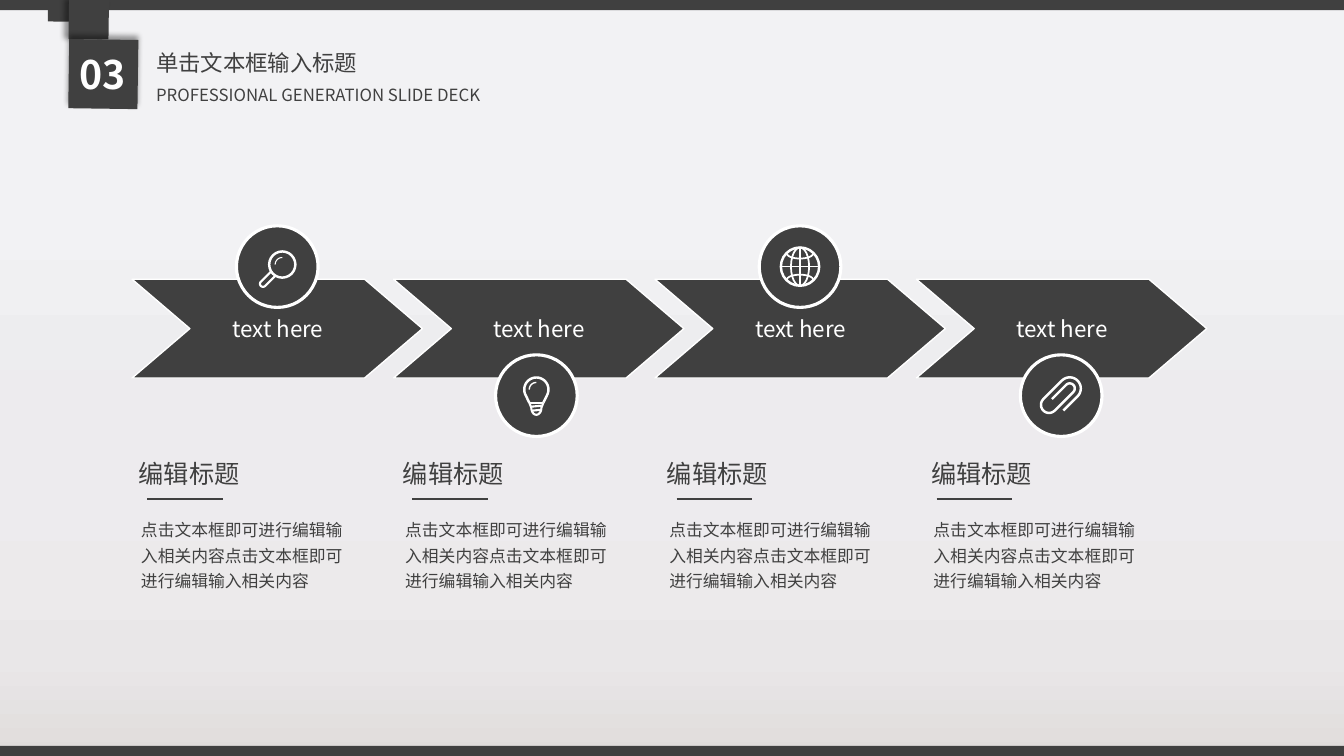
"""Builds a four-step arrow slide with icon badges and captions."""
import math

from lxml import etree
from pptx import Presentation
from pptx import util as u
from pptx.dml.color import RGBColor
from pptx.enum import shapes, text
from pptx.oxml.ns import qn

DARK = RGBColor(0x40, 0x40, 0x40)
WHITE = RGBColor(0xFF, 0xFF, 0xFF)
FONT = "Noto Sans CJK SC"
STOPS = [(0, "E0DCDB"), (13, "E9E7E8"), (23, "ECEAEB"),
         (34, "EDEBEE"), (51, "EDEDEF"), (73, "F2F2F4")]
KIND = shapes.MSO_SHAPE
LEFT = text.PP_ALIGN.LEFT
MID = text.PP_ALIGN.CENTER
BODY = "点击文本框即可进行编辑输入相关内容点击文本框即可进行编辑输入相关内容"
HUBS = [(2.75, 2.645), (5.32, 3.925), (7.935, 2.645), (10.525, 3.925)]
RULES = [1.46, 4.09, 6.71, 9.29]


def paint(slide):
    fill = slide.background.fill
    fill.gradient()
    fill.gradient_angle = 90
    stops = slide.element.find(".//" + qn("a:gsLst"))
    stops.clear()
    for pos, tint in STOPS:
        stop = etree.SubElement(stops, qn("a:gs"), pos=str(pos * 1000))
        etree.SubElement(stop, qn("a:srgbClr"), val=tint)


def add_form(slide, kind, box, edge=0, turn=0):
    form = slide.shapes.add_shape(kind, *map(u.Inches, box))
    form.shadow.inherit = False
    form.rotation = turn
    form.fill.solid()
    form.fill.fore_color.rgb = DARK
    if edge:
        form.line.color.rgb = WHITE
        form.line.width = u.Pt(edge)
    else:
        form.line.fill.background()
    return form


def add_shade(form, angle):
    list_ = form.element.spPr.find(qn("a:effectLst"))
    shade = etree.SubElement(list_, qn("a:outerShdw"), blurRad=str(u.Pt(4)),
                             dist=str(u.Pt(3)), dir=str(angle * 60000))
    tint = etree.SubElement(shade, qn("a:srgbClr"), val="000000")
    etree.SubElement(tint, qn("a:alpha"), val="40000")


def add_text(slide, box, words, size, tint=DARK, align=LEFT, bold=False,
             space=None, wrap=True):
    frame = slide.shapes.add_textbox(*map(u.Inches, box)).text_frame
    frame.word_wrap = wrap
    frame.auto_size = text.MSO_AUTO_SIZE.SHAPE_TO_FIT_TEXT
    para = frame.paragraphs[0]
    para.alignment = align
    if space:
        para.line_spacing = space
    run = para.add_run()
    run.text = words
    font = run.font
    font.name, font.size, font.bold = FONT, u.Pt(size), bold
    font.color.rgb = tint
    etree.SubElement(run._r.get_or_add_rPr(), qn("a:ea"), typeface=FONT)


def add_rule(slide, left, top, width):
    rule = slide.shapes.add_connector(
        shapes.MSO_CONNECTOR.STRAIGHT, u.Inches(left), u.Inches(top),
        u.Inches(left + width), u.Inches(top))
    rule.line.color.rgb = DARK
    rule.line.width = u.Pt(2)
    etree.SubElement(rule.element.spPr, qn("a:effectLst"))


def arc(x, y, wide, high, start, end):
    steps = 24
    turns = [math.radians(start + (end - start) * i / steps)
             for i in range(steps + 1)]
    return [(x + wide * math.cos(t), y + high * math.sin(t)) for t in turns]


def trace(slide, hub, points, turn=0, width=1.5):
    cos, sin = math.cos(math.radians(turn)), math.sin(math.radians(turn))
    spots = [(u.Inches(hub[0] + x * cos - y * sin),
              u.Inches(hub[1] + x * sin + y * cos)) for x, y in points]
    pen = slide.shapes.build_freeform(*spots[0])
    pen.add_line_segments(spots[1:], close=False)
    form = pen.convert_to_shape()
    form.shadow.inherit = False
    form.fill.background()
    form.line.color.rgb = WHITE
    form.line.width = u.Pt(width)


def draw_lens(slide, hub):
    spot = (hub[0] + 0.05, hub[1] - 0.02)
    grip = [(-0.13, 0.03), *arc(-0.27, 0, 0.03, 0.03, 90, 270), (-0.13, -0.03)]
    trace(slide, spot, arc(0, 0, 0.13, 0.13, 0, 360), width=1.75)
    trace(slide, spot, grip, turn=-45)
    trace(slide, spot, arc(0, 0, 0.07, 0.07, 180, 270), width=0.75)


def draw_bulb(slide, hub):
    spot = (hub[0], hub[1] - 0.06)
    glass = [(-0.07, 0.13), *arc(0, 0, 0.12, 0.12, 150, 390), (0.07, 0.13)]
    base = [(-0.07, 0.13), *arc(0, 0.18, 0.05, 0.07, 180, 0), (0.07, 0.13)]
    trace(slide, spot, glass, width=1.75)
    trace(slide, spot, base)
    trace(slide, spot, [(-0.07, 0.13), (0.07, 0.13)])
    for drop in (0.17, 0.21):
        trace(slide, spot, [(-0.05, drop), (0.05, drop - 0.01)])
    trace(slide, spot, arc(0, 0, 0.07, 0.07, 180, 270), width=1)


def draw_globe(slide, hub):
    trace(slide, hub, arc(0, 0, 0.19, 0.19, 0, 360), width=1.75)
    trace(slide, hub, arc(0, 0, 0.09, 0.19, 0, 360), width=1.25)
    for turn in (0, 90):
        trace(slide, hub, [(-0.19, 0), (0.19, 0)], turn, 1.25)
    for turn in (0, 180):
        trace(slide, hub, arc(0, -0.13, 0.13, 0.05, 180, 0), turn, 1.25)


def draw_clip(slide, hub):
    wire = [(-0.09, 0.12), *arc(0.11, 0.01, 0.11, 0.11, 90, -90),
            *arc(-0.15, -0.02, 0.08, 0.08, 270, 90),
            *arc(0.11, 0.01, 0.05, 0.05, 90, -90), (-0.09, -0.04)]
    trace(slide, hub, wire, turn=-45, width=1.75)


def add_head(slide):
    add_form(slide, KIND.RECTANGLE, (0, 0, 13.33, 0.1))
    add_form(slide, KIND.DIAMOND, (0.43, -0.05, 0.31, 0.31), turn=45.8)
    strap = add_form(slide, KIND.DIAMOND, (0.6, -0.09, 0.56, 0.56), turn=135.8)
    add_shade(strap, 180)
    tag = add_form(slide, KIND.DIAMOND, (0.54, 0.25, 0.97, 0.97), turn=315.8)
    add_shade(tag, 270)
    add_text(slide, (0.66, 0.45, 0.72, 0.57), "03", 28, WHITE, MID, bold=True)
    add_text(slide, (1.45, 0.31, 2.22, 0.46), "单击文本框输入标题", 16,
             space=1.5, wrap=False)
    add_text(slide, (1.45, 0.79, 4.64, 0.3),
             "PROFESSIONAL GENERATION SLIDE DECK", 12)
    add_form(slide, KIND.RECTANGLE, (0, 7.4, 13.33, 0.1))


def add_step(slide, i, hub, draw):
    left = 1.31 + 2.593 * i
    arrow = add_form(slide, KIND.CHEVRON, (left, 2.77, 2.88, 0.98), edge=1)
    arrow.adjustments[0] = 0.585
    add_form(slide, KIND.OVAL, (hub[0] - 0.405, hub[1] - 0.405, 0.81, 0.81),
             edge=2.25)
    draw(slide, hub)
    add_text(slide, (left + 0.74, 3.08, 1.41, 0.37), "text here", 16,
             WHITE, MID)


def add_note(slide, i, rule):
    shift = 2.62 * i
    add_rule(slide, rule, 4.95, 0.75)
    add_text(slide, (1.3 + shift, 5.06, 2.22, 1.11), BODY, 12, space=1.25)
    add_text(slide, (1.23 + shift, 4.5, 1.29, 0.4), "编辑标题", 18, align=MID)


def main():
    deck = Presentation()
    deck.slide_width, deck.slide_height = u.Inches(13.33), u.Inches(7.5)
    slide = deck.slides.add_slide(deck.slide_layouts[6])
    paint(slide)
    add_head(slide)
    icons = [draw_lens, draw_bulb, draw_globe, draw_clip]
    for i, (hub, draw, rule) in enumerate(zip(HUBS, icons, RULES)):
        add_step(slide, i, hub, draw)
        add_note(slide, i, rule)
    deck.save("out.pptx")


main()
